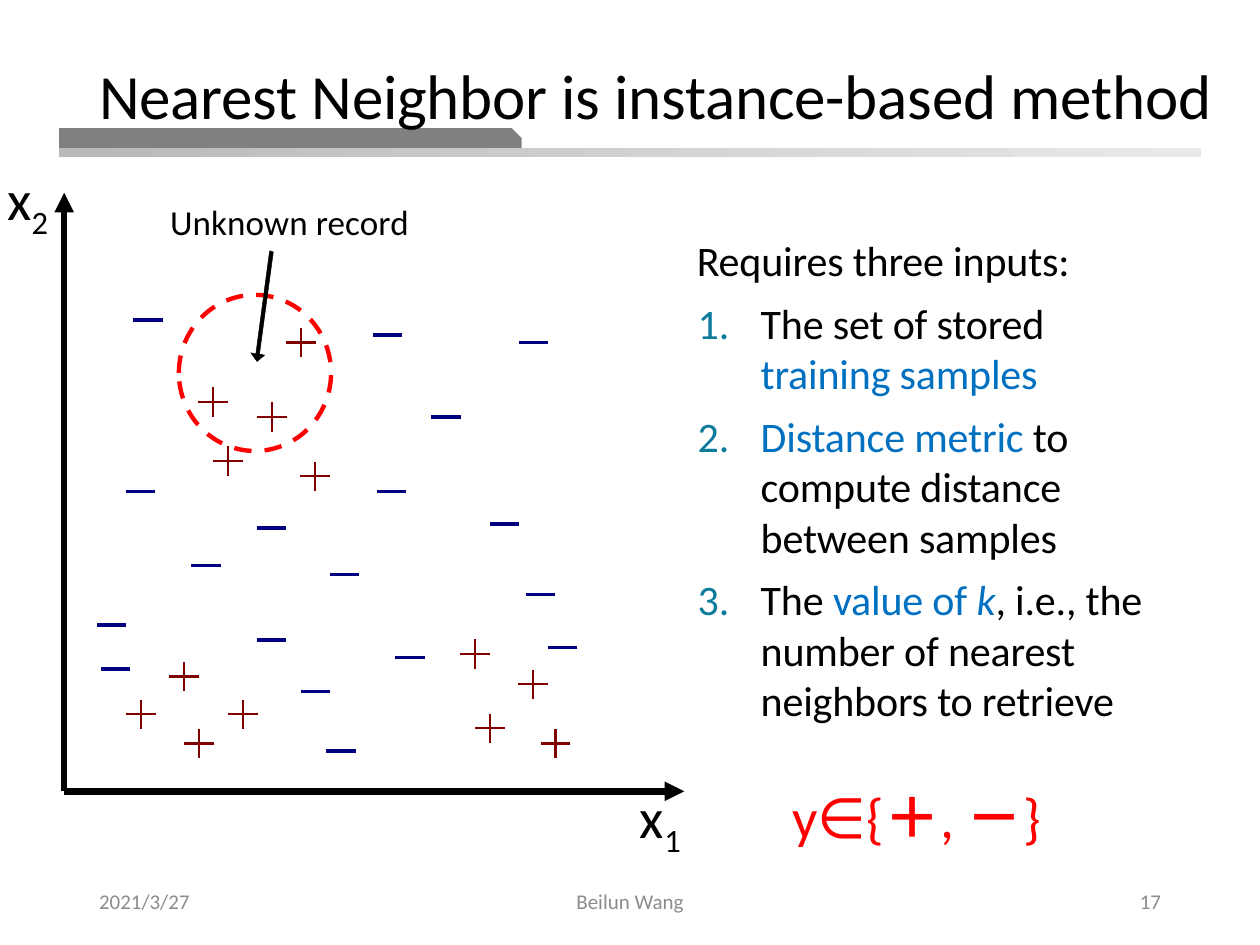
import pptx
import pptx.dml.color
import pptx.enum.dml
import pptx.enum.shapes
import pptx.enum.text
import pptx.oxml.ns
import pptx.util
from lxml import etree

Pt = pptx.util.Pt
RGB = pptx.dml.color.RGBColor
SHAPE = pptx.enum.shapes.MSO_SHAPE
ALIGN = pptx.enum.text.PP_ALIGN
ANCHOR = pptx.enum.text.MSO_ANCHOR
qn = pptx.oxml.ns.qn

BLACK = RGB(0x00, 0x00, 0x00)
RED = RGB(0xFF, 0x00, 0x00)
BLUE = RGB(0x00, 0x70, 0xC0)
TEAL = RGB(0x0C, 0x7B, 0x9C)
MAROON = RGB(0x80, 0x00, 0x00)
NAVY = RGB(0x00, 0x00, 0x80)
GRAY = RGB(0x80, 0x80, 0x80)
FOOTER_GRAY = RGB(0x8C, 0x8C, 0x8C)
BAR_START = RGB(0xB8, 0xB8, 0xB8)
BAR_END = RGB(0xE9, 0xE9, 0xE9)

HALF = 8.4
PLUSES = [
    (121.7, 229.7), (155.5, 238.3), (130.3, 263.5), (172.1, 195.8),
    (180, 272.2), (80.6, 408.2), (139, 408.2), (113.8, 424.8),
    (105.1, 386.6), (304.6, 391), (317.5, 424.8), (280.1, 416.2),
    (271.4, 373.7),
]
MINUSES = [
    (80.3, 280.8), (234.4, 375.8), (308.9, 339.8), (194.8, 429.1),
    (196.9, 328.3), (254.9, 238.3), (117.7, 323.3), (221.4, 191.5),
    (63.7, 357.1), (84.6, 182.9), (288.4, 299.5), (223.6, 280.8),
    (155.2, 365.8), (65.9, 382.3), (304.9, 195.8), (155.2, 301.7),
    (180.4, 395.3), (321.5, 370.1),
]
POINTER = [
    (154.1, 143.3), (146.2, 202.3), (143.3, 201.6), (146.9, 206.6),
    (151.2, 203), (148.3, 202.3), (156.2, 144),
]
INPUTS = [
    [("The set of stored ", BLACK, {}), ("training samples", BLUE, {})],
    [("Distance metric ", BLUE, {}),
     ("to compute distance between samples", BLACK, {})],
    [("The ", BLACK, {}), ("value of ", BLUE, {}),
     ("k", BLUE, {"italic": True}),
     (", i.e., the number of nearest neighbors to retrieve", BLACK, {})],
]


def add_runs(p, runs, size, **attrs):
    for text, color, fmt in runs:
        r = p.add_run()
        r.text = text
        for name, value in {"name": "Calibri", "size": Pt(size), **fmt}.items():
            setattr(r.font, name, value)
        r.font.color.rgb = color
        for name, value in attrs.items():
            r._r.get_or_add_rPr().set(name, value)


def add_text(s, box, runs, size, frame=None, para=None, **attrs):
    tf = s.shapes.add_textbox(*map(Pt, box)).text_frame
    for name, value in {"word_wrap": True, **(frame or {})}.items():
        setattr(tf, name, value)
    p = tf.paragraphs[0]
    for name, value in (para or {}).items():
        setattr(p, name, value)
    add_runs(p, runs, size, **attrs)
    return tf


def number_paragraph(p):
    pPr = p._p.get_or_add_pPr()
    pPr.set("marL", str(Pt(36.5)))
    pPr.set("indent", str(-Pt(36)))
    color = etree.SubElement(pPr, qn("a:buClr"))
    etree.SubElement(color, qn("a:srgbClr"), val=str(TEAL))
    etree.SubElement(pPr, qn("a:buAutoNum"), type="arabicPeriod")


def add_inputs(s):
    frame = {"margin_left": 0, "margin_top": Pt(8), "margin_right": Pt(10),
             "margin_bottom": 0}
    tf = add_text(s, (398.2, 126, 285.8, 290),
                  [("Requires three inputs:", BLACK, {})], 24, frame,
                  {"space_before": Pt(8)}, spc="-10")
    for runs in INPUTS:
        p = tf.add_paragraph()
        p.space_before = Pt(7)
        number_paragraph(p)
        add_runs(p, runs, 24, spc="-10")


def add_axis_label(s, left, top, index):
    tf = add_text(s, (left, top, 39.6, 46), [("x", BLACK, {})], 32,
                  {"word_wrap": False})
    add_runs(tf.paragraphs[0], [(index, BLACK, {})], 32, baseline="-25000")


def add_preset(s, kind, box):
    sp = s.shapes.add_shape(kind, *map(Pt, box))
    sp.shadow.inherit = False
    sp.line.fill.background()
    return sp


def set_line(sp, color, width):
    sp.line.color.rgb = color
    sp.line.width = Pt(width)


def add_strokes(s, strokes, color, width):
    first, *rest = strokes
    fb = s.shapes.build_freeform(*map(Pt, first[0]))
    fb.add_line_segments([tuple(map(Pt, first[1]))], close=False)
    for start, end in rest:
        fb.move_to(*map(Pt, start))
        fb.add_line_segments([tuple(map(Pt, end))], close=False)
    sp = fb.convert_to_shape()
    sp.shadow.inherit = False
    sp.fill.background()
    set_line(sp, color, width)


def add_pointer(s):
    start, *rest = [tuple(map(Pt, point)) for point in POINTER]
    fb = s.shapes.build_freeform(*start)
    fb.add_line_segments(rest, close=True)
    sp = fb.convert_to_shape()
    sp.shadow.inherit = False
    sp.fill.solid()
    sp.fill.fore_color.rgb = BLACK
    set_line(sp, BLACK, 0.25)


def add_axis(s, end):
    c = s.shapes.add_connector(pptx.enum.shapes.MSO_CONNECTOR.STRAIGHT,
                               *map(Pt, (36.7, 452.2) + end))
    set_line(c, BLACK, 3.75)
    etree.SubElement(c.line._get_or_add_ln(), qn("a:tailEnd"), type="triangle")
    etree.SubElement(c._element.spPr, qn("a:effectLst"))


def add_header(s):
    bar = add_preset(s, SHAPE.RECTANGLE, (33.8, 84.4, 652.5, 5.6))
    bar.fill.gradient()
    bar.fill.gradient_angle = 0
    for stop, color in zip(bar.fill.gradient_stops, (BAR_START, BAR_END)):
        stop.color.rgb = color
    tab = add_preset(s, SHAPE.SNIP_1_RECTANGLE, (33.8, 73.2, 264.3, 11.4))
    tab.adjustments[0] = 0.5
    tab.fill.solid()
    tab.fill.fore_color.rgb = GRAY
    add_text(s, (49.7, 31.7, 658, 49.7),
             [("Nearest Neighbor is instance-based method", BLACK, {})], 36,
             {"word_wrap": False, "vertical_anchor": ANCHOR.MIDDLE},
             {"line_spacing": 0.9}, spc="-10")


def add_footer(s):
    for left, width, text, align in (
            (49.5, 162, "2021/3/27", ALIGN.LEFT),
            (238.5, 243, "Beilun Wang", ALIGN.CENTER),
            (508.5, 162, "17", ALIGN.RIGHT)):
        add_text(s, (left, 500.5, width, 28.8), [(text, FOOTER_GRAY, {})], 12,
                 {"vertical_anchor": ANCHOR.MIDDLE}, {"alignment": align})


def add_scatter(s):
    add_text(s, (96.5, 113.8, 140.4, 25.2), [("Unknown record", BLACK, {})], 20,
             {"margin_left": Pt(0.7), "margin_top": Pt(1), "margin_right": 0,
              "margin_bottom": 0}, {"space_before": Pt(1)}, spc="5")
    add_strokes(s, [stroke for x, y in PLUSES for stroke in (
        ((x + HALF, y), (x - HALF, y)),
        ((x, y + HALF), (x, y - HALF)))], MAROON, 1.33)
    add_strokes(s, [((x + HALF, y), (x - HALF, y)) for x, y in MINUSES],
                NAVY, 1.92)
    circle = add_preset(s, SHAPE.OVAL, (102.2, 168.5, 87, 89.2))
    circle.fill.background()
    set_line(circle, RED, 2.5)
    circle.line.dash_style = pptx.enum.dml.MSO_LINE.DASH
    add_pointer(s)
    add_axis(s, (36.7, 110.2))
    add_axis(s, (391, 452.2))
    add_axis_label(s, -2.9, 90.7, "2")
    add_axis_label(s, 358.6, 443.5, "1")


def main():
    prs = pptx.Presentation()
    prs.slide_width, prs.slide_height = Pt(720), Pt(540)
    s = prs.slides.add_slide(prs.slide_layouts[6])
    add_header(s)
    add_footer(s)
    add_inputs(s)
    add_scatter(s)
    bold = {"bold": True}
    add_text(s, (445.7, 443.5, 213, 46),
             [("y∈{", RED, {}), ("＋", RED, bold), (", ", RED, {}),
              ("－", RED, bold), ("}", RED, {})], 32)
    prs.save("out.pptx")


if __name__ == "__main__":
    main()
